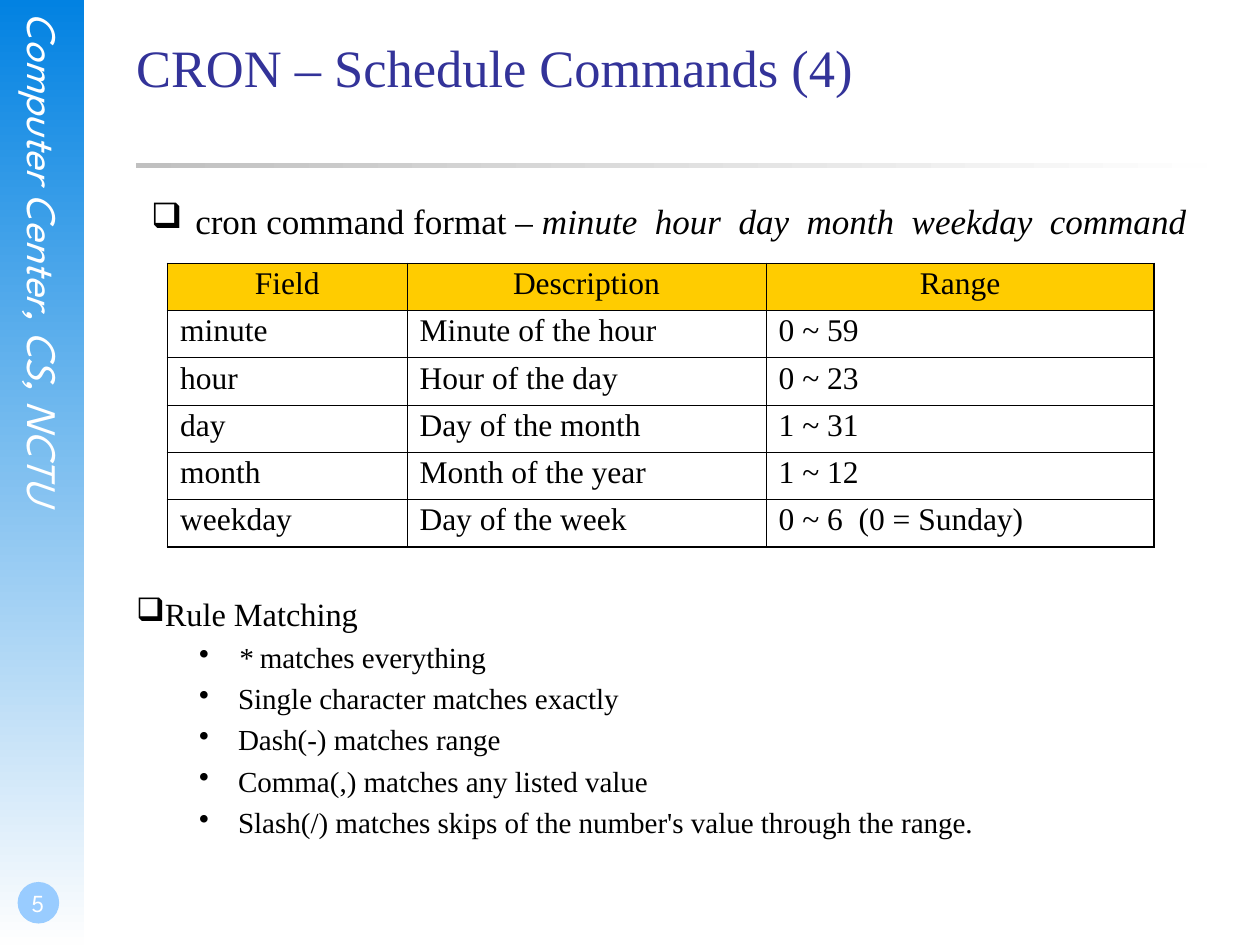
from lxml import etree
from pptx import Presentation
from pptx import util as u
from pptx.dml.color import RGBColor
from pptx.enum import shapes, text
from pptx.oxml.ns import qn

BLACK = RGBColor(0, 0, 0)
WHITE = RGBColor(0xFF, 0xFF, 0xFF)
PALE = RGBColor(0xFE, 0xFE, 0xFE)
BLUE = RGBColor(0x02, 0x82, 0xE2)
SKY = RGBColor(0x99, 0xCC, 0xFF)
NAVY = RGBColor(0x33, 0x33, 0x99)
GREY = RGBColor(0xC0, 0xC0, 0xC0)
GOLD = RGBColor(0xFF, 0xCC, 0x00)
SERIF = "Times New Roman"
SANS = "League Spartan"
RECT = shapes.MSO_SHAPE.RECTANGLE
OVAL = shapes.MSO_SHAPE.OVAL
MID = text.PP_ALIGN.CENTER

FIELDS = [
    ("Field", "Description", "Range"),
    ("minute", "Minute of the hour", "0 ~ 59"),
    ("hour", "Hour of the day", "0 ~ 23"),
    ("day", "Day of the month", "1 ~ 31"),
    ("month", "Month of the year", "1 ~ 12"),
    ("weekday", "Day of the week", "0 ~ 6  (0 = Sunday)"),
]
RULES = [
    [("* ", True), ("matches everything", False)],
    [("Single character matches exactly", False)],
    [("Dash(-) matches range", False)],
    [("Comma(,) matches any listed value", False)],
    [("Slash(/) matches skips of the number's value through the range.", False)],
]


class Deck:
    def __init__(self, slide):
        self.slide = slide

    def place(self, box):
        return [u.Inches(v) for v in box]

    def shape(self, kind, box):
        item = self.slide.shapes.add_shape(kind, *self.place(box))
        item.shadow.inherit = False
        item.line.fill.background()
        return item

    def disc(self, box, color):
        fill = self.shape(OVAL, box).fill
        fill.solid()
        fill.fore_color.rgb = color

    def fade(self, box, colors, angle):
        fill = self.shape(RECT, box).fill
        fill.gradient()
        fill.gradient_angle = angle
        for stop, color in zip(fill.gradient_stops, colors):
            stop.color.rgb = color

    def frame(self, item, insets=(0, 0, 0, 0), anchor=text.MSO_ANCHOR.TOP):
        frame = item.text_frame
        frame.word_wrap = True
        frame.auto_size = text.MSO_AUTO_SIZE.NONE
        frame.vertical_anchor = anchor
        (frame.margin_left, frame.margin_top,
         frame.margin_right, frame.margin_bottom) = self.place(insets)
        return frame

    def box(self, box, **style):
        item = self.slide.shapes.add_textbox(*self.place(box))
        return self.frame(item, **style)

    def words(self, para, runs, size, color=BLACK, name=SERIF, align=None, space=None):
        para.alignment = align
        para.line_spacing = space
        for label, slant in runs:
            run = para.add_run()
            run.text = label
            font = run.font
            font.size, font.name, font.italic = u.Pt(size), name, slant
            font.color.rgb = color

    def bullet(self, para, mark, left=0, indent=0):
        props = para._p.get_or_add_pPr()
        props.set("marL", str(u.Inches(left)))
        props.set("indent", str(u.Inches(indent)))
        tint = etree.SubElement(props, qn("a:buClr"))
        etree.SubElement(tint, qn("a:srgbClr"), val=str(BLACK))
        etree.SubElement(props, qn("a:buChar"), char=mark)

    def title(self, label, box, size):
        item = self.slide.shapes.title
        item.left, item.top, item.width, item.height = self.place(box)
        para = self.frame(item).paragraphs[0]
        self.words(para, [(label, False)], size, NAVY, align=text.PP_ALIGN.LEFT)

    def edge(self, cell, sides):
        props = cell._tc.get_or_add_tcPr()
        for spot, (side, thick) in enumerate(sides.items()):
            line = etree.Element(qn("a:ln" + side), w=str(u.Pt(1.08 if thick else 0.45)))
            fill = etree.SubElement(line, qn("a:solidFill"))
            etree.SubElement(fill, qn("a:srgbClr"), val=str(BLACK))
            props.insert(spot, line)

    def table(self, rows, box, widths):
        high, wide = len(rows), len(widths)
        grid = self.slide.shapes.add_table(high, wide, *self.place(box)).table
        grid.first_row = grid.horz_banding = False
        for col, width in zip(grid.columns, widths):
            col.width = u.Inches(width)
        for r, row in enumerate(rows):
            for c, label in enumerate(row):
                cell = grid.cell(r, c)
                if r == 0:
                    cell.fill.solid()
                    cell.fill.fore_color.rgb = GOLD
                else:
                    cell.fill.background()
                self.edge(cell, {"L": c == 0, "R": c == wide - 1,
                                 "T": r == 0, "B": r == high - 1})
                self.words(cell.text_frame.paragraphs[0], [(label, False)], 18,
                           align=MID if r == 0 else None, space=0.9)


def main():
    prs = Presentation()
    prs.slide_width, prs.slide_height = u.Inches(10), u.Inches(7.5)
    deck = Deck(prs.slides.add_slide(prs.slide_layouts[5]))

    deck.fade((0, 0, 0.67, 7.5), (BLUE, PALE), 270)
    side = deck.box((0.15, 0.1, 0.4, 5.11))
    side._txBody.bodyPr.set("vert", "eaVert")
    deck.words(side.paragraphs[0], [("Computer Center, CS, NCTU", True)], 24, WHITE, SANS, MID)
    deck.disc((0.14, 7, 0.33, 0.33), SKY)
    page = deck.box((0, 6.83, 0.58, 0.5), insets=(0.02, 0, 0, 0.05),
                    anchor=text.MSO_ANCHOR.BOTTOM)
    deck.words(page.paragraphs[0], [("5", False)], 14, WHITE, SANS, MID)

    deck.fade((1.08, 1.29, 8.5, 0.04), (GREY, PALE), 0)
    deck.title("CRON – Schedule Commands (4)", (1.08, 0.28, 8.5, 1.25), 30)

    para = deck.box((1.08, 1.58, 8.58, 4.67)).paragraphs[0]
    deck.bullet(para, "❑", 0.47, -0.35)
    deck.words(para, [("cron command format – ", False),
                      ("minute  hour  day  month  weekday  command", True)], 20)

    deck.table(FIELDS, (1.33, 2.09, 7.83, 2.25), (1.9, 2.85, 3.08))

    body = deck.box((1.08, 4.75, 7.83, 2.17))
    para = body.paragraphs[0]
    deck.bullet(para, "❑")
    deck.words(para, [("Rule Matching", False)], 18.5, space=0.9)
    for runs in RULES:
        para = body.add_paragraph()
        para.level = 1
        deck.bullet(para, "•", 0.81, -0.31)
        para.space_before = u.Pt(5.6)
        deck.words(para, runs, 16.6, space=0.9)

    prs.save("out.pptx")


if __name__ == "__main__":
    main()
